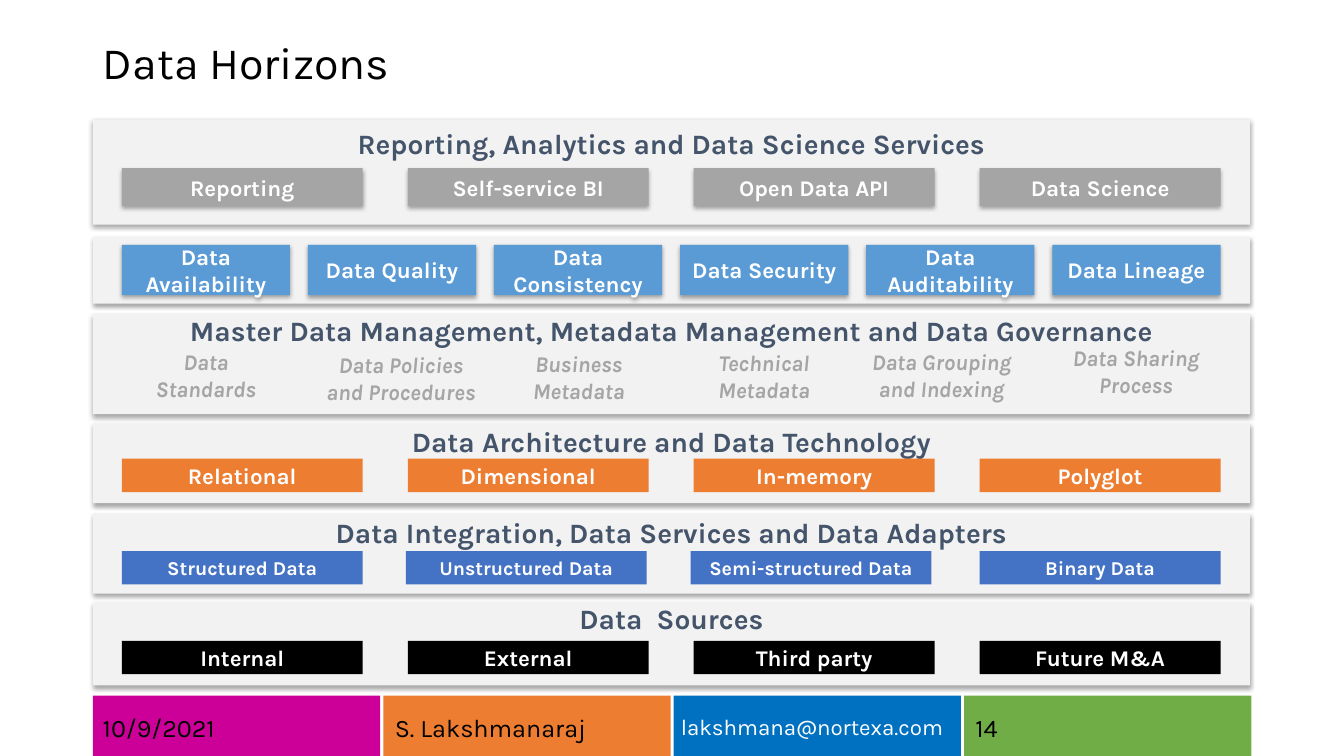
from dataclasses import dataclass
from typing import NamedTuple

from lxml.etree import SubElement
from pptx import Presentation
from pptx.dml.color import RGBColor as Rgb
from pptx.enum.shapes import MSO_SHAPE as Kind
from pptx.enum.text import MSO_ANCHOR as Anchor, MSO_AUTO_SIZE as Fit, PP_ALIGN as Align
from pptx.oxml.ns import qn
from pptx.util import Cm, Pt

FONT = "Karla"
WHITE = Rgb(0xFF, 0xFF, 0xFF)
BLACK = Rgb(0, 0, 0)
PALE = Rgb(0xF2, 0xF2, 0xF2)
SLATE = Rgb(0x44, 0x54, 0x6A)
GREY = Rgb(0xA5, 0xA5, 0xA5)
SKY = Rgb(0x5B, 0x9B, 0xD5)
BLUE = Rgb(0x44, 0x72, 0xC4)
ORANGE = Rgb(0xED, 0x7D, 0x31)
PINK = Rgb(0xCC, 0x00, 0x99)
NAVY = Rgb(0x00, 0x70, 0xC0)
GREEN = Rgb(0x70, 0xAD, 0x47)

BAND_LEFT, BAND_WIDTH = 2.35, 29.15
ROW_LEFT, ROW_WIDTH = 3.07, 27.69
HEAD_HIGH = 0.97
TILE_LEFT, TILE_STEP, TILE_WIDTH = 2.34, 7.32, 7.24


class Box(NamedTuple):
    left: float
    top: float
    width: float
    height: float


class Look(NamedTuple):
    size: float
    color: Rgb
    bold: bool = False
    italic: bool = False
    align: Align = Align.CENTER


class Note(NamedTuple):
    text: str
    left: float
    top: float
    width: float


class Tile(NamedTuple):
    text: str
    fill: Rgb
    left: float
    look: Look


@dataclass
class Row:
    names: tuple[str, ...]
    top: float
    width: float
    height: float
    fill: Rgb
    size: float = 16
    raised: bool = False
    shifts: tuple[float, ...] = (0,) * 6


@dataclass
class Band:
    top: float
    height: float
    head: str = ""
    head_top: float = 0
    row: Row | None = None


HEAD = Look(20, SLATE, bold=True)
NOTE = Look(16, GREY, bold=True, italic=True)
FOOT = Look(18, BLACK, align=Align.LEFT)

BANDS = (
    Band(3.02, 2.64, "Reporting, Analytics and Data Science Services", 3.12,
         Row(("Reporting", "Self-service BI", "Open Data API", "Data Science"),
             4.24, 6.07, 0.95, GREY, raised=True)),
    Band(5.97, 1.68,
         row=Row(("Data Availability", "Data Quality", "Data Consistency",
                  "Data Security", "Data Auditability", "Data Lineage"),
                 6.17, 4.24, 1.27, SKY, raised=True)),
    Band(7.9, 2.54, "Master Data Management, Metadata Management and Data Governance", 7.84),
    Band(10.67, 2.01, "Data Architecture and Data Technology", 10.64,
         Row(("Relational", "Dimensional", "In-memory", "Polyglot"),
             11.56, 6.07, 0.84, ORANGE)),
    Band(12.93, 2.03, "Data Integration, Data Services and Data Adapters", 12.93,
         Row(("Structured Data", "Unstructured Data", "Semi-structured Data", "Binary Data"),
             13.89, 6.07, 0.84, BLUE, 14, shifts=(0, -0.05, -0.08, 0))),
    Band(15.19, 2.08, "Data  Sources", 15.09,
         Row(("Internal", "External", "Third party", "Future M&A"),
             16.15, 6.07, 0.84, BLACK)),
)

NOTES = (
    Note("Data Standards", 3.07, 8.74, 4.24),
    Note("Data Policies and Procedures", 7.77, 8.81, 4.67),
    Note("Business Metadata", 12.45, 8.79, 4.27),
    Note("Technical Metadata", 17.12, 8.76, 4.27),
    Note("Data Grouping and Indexing", 21.39, 8.74, 4.67),
    Note("Data Sharing Process", 26.49, 8.64, 4.27),
)

TILES = (
    Tile("10/9/2021", PINK, 2.34, FOOT),
    Tile("S. Lakshmanaraj", ORANGE, 9.7, FOOT),
    Tile("lakshmana@nortexa.com", NAVY, 16.87, Look(16, WHITE)),
    Tile("14", GREEN, 24.33, FOOT),
)


def place(box: Box) -> tuple[Cm, ...]:
    return tuple(Cm(side) for side in box)


def write(shape, text: str, look: Look) -> None:
    frame = shape.text_frame
    frame.text = text
    frame.word_wrap = True
    frame.auto_size = Fit.NONE
    frame.vertical_anchor = Anchor.MIDDLE
    line = frame.paragraphs[0]
    line.alignment = look.align
    font = line.font
    font.name, font.size = FONT, Pt(look.size)
    font.bold, font.italic = look.bold, look.italic
    font.color.rgb = look.color


def cast(shape) -> None:
    glow = shape._element.spPr.find(qn("a:effectLst"))
    shade = SubElement(glow, qn("a:outerShdw"), blurRad="40000", dist="23000",
                       dir="5400000", rotWithShape="0")
    tint = SubElement(shade, qn("a:srgbClr"), val="000000")
    SubElement(tint, qn("a:alpha"), val="35000")


def block(slide, box: Box, fill: Rgb, raised: bool = False):
    shape = slide.shapes.add_shape(Kind.RECTANGLE, *place(box))
    shape.fill.solid()
    shape.fill.fore_color.rgb = fill
    shape.line.fill.background()
    shape.shadow.inherit = False
    if raised:
        cast(shape)
    return shape


def label(slide, box: Box, text: str, look: Look) -> None:
    write(slide.shapes.add_textbox(*place(box)), text, look)


def draw_row(slide, row: Row) -> None:
    step = (ROW_WIDTH - row.width) / (len(row.names) - 1)
    for i, (name, shift) in enumerate(zip(row.names, row.shifts)):
        box = Box(ROW_LEFT + i * step + shift, row.top, row.width, row.height)
        cell = block(slide, box, row.fill, row.raised)
        write(cell, name, Look(row.size, WHITE, bold=True))


def draw_band(slide, band: Band) -> None:
    block(slide, Box(BAND_LEFT, band.top, BAND_WIDTH, band.height), PALE, True)
    if band.head:
        label(slide, Box(BAND_LEFT, band.head_top, BAND_WIDTH, HEAD_HIGH), band.head, HEAD)
    if band.row:
        draw_row(slide, band.row)


def main() -> None:
    deck = Presentation()
    deck.slide_width, deck.slide_height = Cm(33.87), Cm(19.05)
    slide = deck.slides.add_slide(deck.slide_layouts[5])

    title = slide.shapes.title
    title.left, title.top, title.width, title.height = place(Box(2.34, 0.74, 29.21, 1.78))
    write(title, "Data Horizons", Look(32, BLACK, align=Align.LEFT))
    title.text_frame.paragraphs[0].line_spacing = 0.9

    for i, tile in enumerate(TILES):
        block(slide, Box(TILE_LEFT + i * TILE_STEP, 17.53, TILE_WIDTH, 1.52), tile.fill)
        label(slide, Box(tile.left, 17.81, 7.19, 1.02), tile.text, tile.look)
    for band in BANDS:
        draw_band(slide, band)
    for note in NOTES:
        label(slide, Box(note.left, note.top, note.width, 1.42), note.text, NOTE)

    deck.save("out.pptx")


if __name__ == "__main__":
    main()
